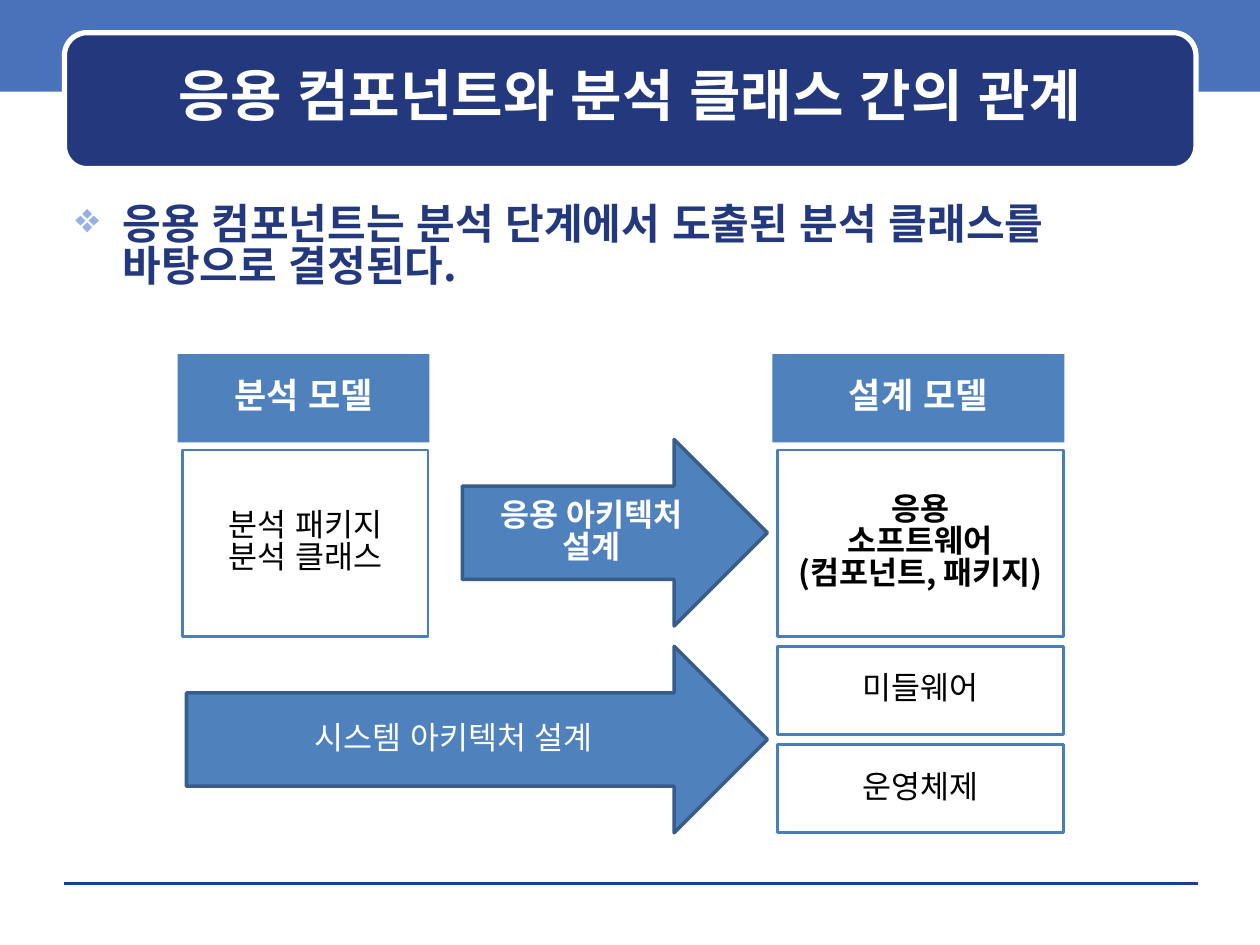
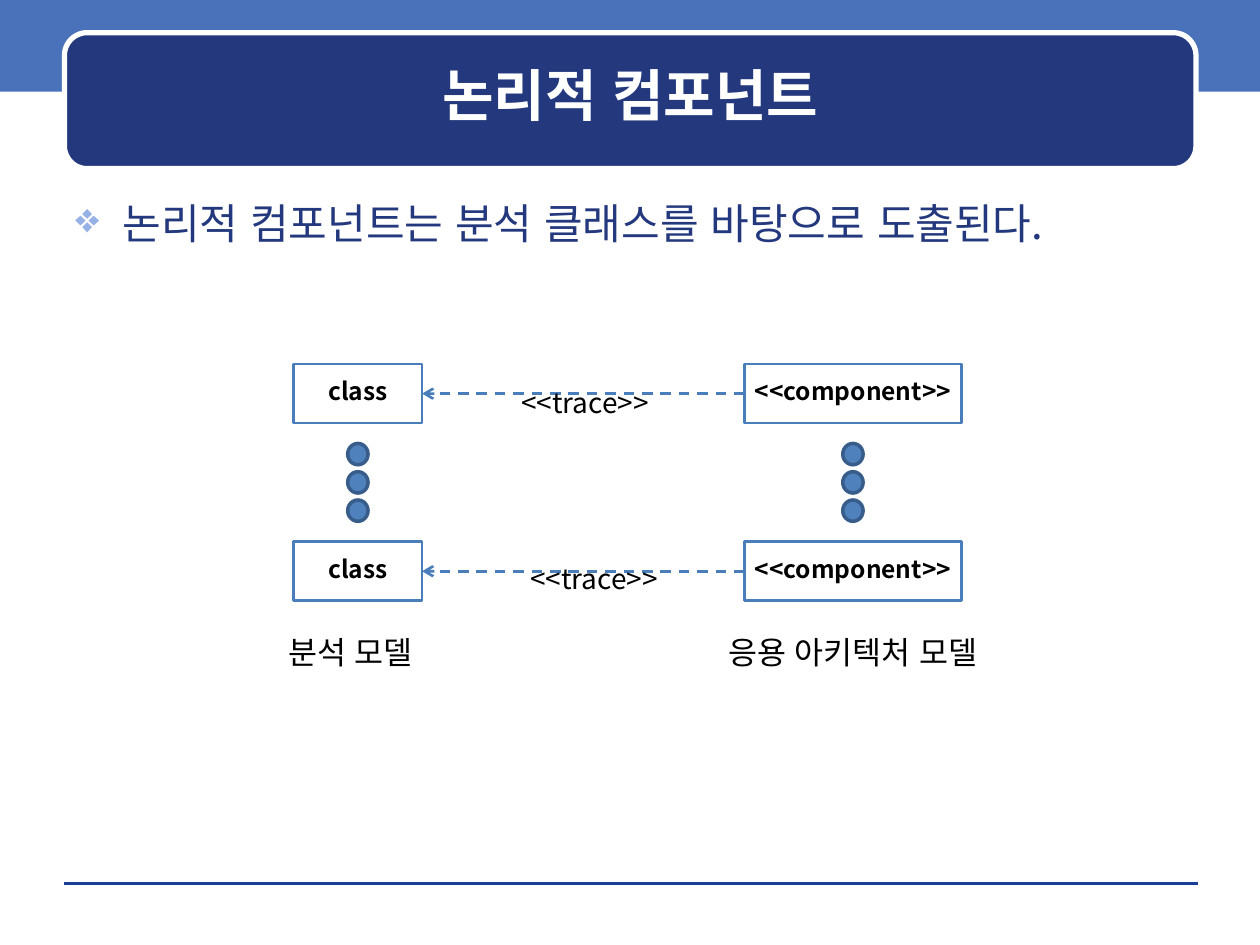
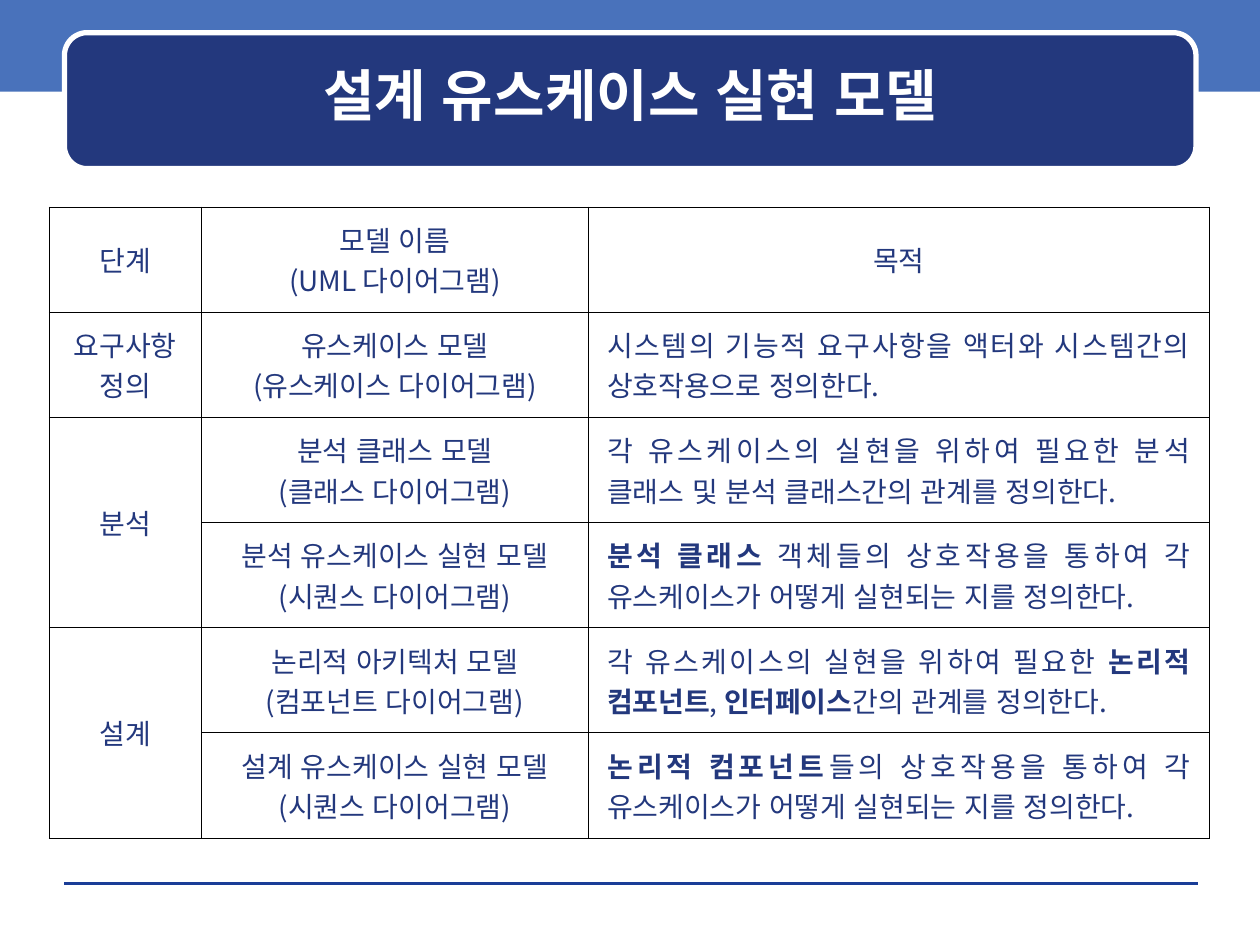
from dataclasses import dataclass

import pptx
import pptx.dml.color
import pptx.enum.dml
import pptx.enum.lang
import pptx.enum.shapes
import pptx.enum.text
import pptx.oxml.ns
import pptx.util
from lxml import etree

Cm, Pt = pptx.util.Cm, pptx.util.Pt
RGB = pptx.dml.color.RGBColor.from_string
MSO = pptx.enum.shapes.MSO_SHAPE
ALIGN = pptx.enum.text.PP_ALIGN
ANCHOR = pptx.enum.text.MSO_ANCHOR
qn = pptx.oxml.ns.qn


# Theme
@dataclass(frozen=True)
class Theme:
    font: str = "Noto Sans CJK KR"
    navy: str = "23387D"
    band: str = "4972BB"
    rule: str = "1A3D97"
    fill: str = "4F81BD"
    edge: str = "385D8A"
    outline: str = "4A7EBB"
    bullet: str = "96B1E6"
    white: str = "FFFFFF"
    black: str = "000000"
    title: int = 32
    body: int = 24
    head: int = 20
    text: int = 18
    small: int = 16
    tiny: int = 14
    spacing: float = 0.84
    tight: float = 0.6


T = Theme()


@dataclass(frozen=True)
class Area:
    """Left, top, width and height in centimetres."""
    x: float
    y: float
    w: float
    h: float

    def emu(self) -> tuple:
        return Cm(self.x), Cm(self.y), Cm(self.w), Cm(self.h)


@dataclass(frozen=True)
class Style:
    size: int = T.text
    color: str = T.black
    bold: bool = False
    align: int = ALIGN.CENTER
    spacing: float = T.spacing
    wrap: bool = True
    inset: float = 0.25


@dataclass(frozen=True)
class Look:
    fill: str | None = None
    line: str | None = None
    width: float = 0


@dataclass(frozen=True)
class Block:
    text: str
    area: Area
    look: Look
    style: Style
    kind: int = MSO.RECTANGLE


OUTLINED = Look(line=T.outline, width=1.5)
FILLED = Look(fill=T.fill)
EDGED = Look(T.fill, T.edge, 2)


# Text and shapes
def format_run(r, size: int, color: str, bold: bool) -> None:
    r.font.size, r.font.bold, r.font.name = Pt(size), bold, T.font
    r.font.color.rgb = RGB(color)
    r.font.language_id = pptx.enum.lang.MSO_LANGUAGE_ID.KOREAN
    latin = r.font._element.find(qn("a:latin"))
    ea = etree.Element(qn("a:ea"), typeface=T.font)
    latin.addnext(ea)


def write(tf, text: str, style: Style) -> None:
    tf.text = text
    for p in tf.paragraphs:
        p.alignment, p.line_spacing = style.align, style.spacing
        for r in p.runs:
            format_run(r, style.size, style.color, style.bold)


def set_frame(tf, style: Style, anchor: int) -> None:
    tf.word_wrap, tf.vertical_anchor = style.wrap, anchor
    tf.margin_left = tf.margin_right = Cm(style.inset)
    tf.margin_top = tf.margin_bottom = Cm(0.13)


def add_shape(shapes, kind: int, area: Area, look: Look):
    sp = shapes.add_shape(kind, *area.emu())
    sp.shadow.inherit = False
    if look.fill:
        sp.fill.solid()
        sp.fill.fore_color.rgb = RGB(look.fill)
    else:
        sp.fill.background()
    if look.line:
        sp.line.color.rgb = RGB(look.line)
        sp.line.width = Pt(look.width)
    else:
        sp.line.fill.background()
    return sp


def add_block(s, block: Block):
    sp = add_shape(s.shapes, block.kind, block.area, block.look)
    set_frame(sp.text_frame, block.style, ANCHOR.MIDDLE)
    write(sp.text_frame, block.text, block.style)
    return sp


def add_label(s, text: str, area: Area, style: Style):
    sp = s.shapes.add_textbox(*area.emu())
    set_frame(sp.text_frame, style, ANCHOR.TOP)
    write(sp.text_frame, text, style)
    return sp


def add_line(s, start: tuple, end: tuple, color: str, width: float):
    cx = s.shapes.add_connector(pptx.enum.shapes.MSO_CONNECTOR.STRAIGHT,
                                *map(Cm, start + end))
    cx.line.color.rgb, cx.line.width = RGB(color), Pt(width)
    etree.SubElement(cx._element.spPr, qn("a:effectLst"))
    return cx


# Shared slide frame
def add_slide(prs, title: str):
    s = prs.slides.add_slide(prs.slide_layouts[5])
    add_shape(s.shapes, MSO.RECTANGLE, Area(0, -0.08, 25.4, 1.93), Look(T.band))
    add_line(s, (1.3, 17.81), (24.16, 17.81), T.rule, 0)
    add_shape(s.shapes, MSO.ROUNDED_RECTANGLE, Area(1.3, 0.66, 22.81, 2.74),
              Look(T.navy, T.white, 3))
    sp = s.shapes.title
    sp.left, sp.top, sp.width, sp.height = Area(1.52, 0.89, 22.38, 2.24).emu()
    style = Style(T.title, T.white, True)
    set_frame(sp.text_frame, style, ANCHOR.MIDDLE)
    write(sp.text_frame, title, style)
    s.shapes.element.append(sp.element)  # in front of the title panel
    return s


def add_bullet(s, text: str, bold: bool) -> None:
    sp = add_label(s, text, Area(1.27, 4.01, 22.86, 13.54),
                   Style(T.body, T.navy, bold, ALIGN.LEFT))
    p = sp.text_frame.paragraphs[0]
    p.space_before = Pt(6)
    pPr = p._p.get_or_add_pPr()
    pPr.set("marL", str(Cm(0.95)))
    pPr.set("indent", str(-Cm(0.95)))
    color = etree.SubElement(pPr, qn("a:buClr"))
    etree.SubElement(color, qn("a:srgbClr"), val=T.bullet)
    etree.SubElement(pPr, qn("a:buChar"), char="❖")


# Slide 1: from analysis model to design model
def build_relation(prs) -> None:
    s = add_slide(prs, "응용 컴포넌트와 분석 클래스 간의 관계")
    add_bullet(s, "응용 컴포넌트는 분석 단계에서 도출된 분석 클래스를 바탕으로 결정된다.", True)
    plain, strong = Style(), Style(bold=True)
    head = Style(T.head, T.white, True)
    row, tall, low = 9.07, 3.76, 1.78
    design_x, design_w, lower = 15.67, 5.77, 13.03
    blocks = [
        Block("응용\n소프트웨어\n(컴포넌트, 패키지)",
              Area(design_x, row, design_w, tall), OUTLINED, strong),
        Block("미들웨어", Area(design_x, lower, design_w, low), OUTLINED, plain),
        Block("운영체제", Area(design_x, lower + 1.98, design_w, low), OUTLINED, plain),
        Block("분석 패키지\n분석 클래스", Area(3.68, row, 4.95, tall), OUTLINED, plain),
        Block("분석 모델", Area(3.58, 7.14, 5.08, low), FILLED, head),
        Block("설계 모델", Area(15.57, 7.14, 5.89, low), FILLED, head),
        Block("시스템 아키텍처 설계", Area(3.76, lower, 11.71, tall), EDGED,
              Style(color=T.white), MSO.RIGHT_ARROW),
        Block("응용 아키텍처\n설계", Area(9.32, 8.86, 6.15, tall), EDGED,
              Style(color=T.white, bold=True), MSO.RIGHT_ARROW),
    ]
    for block in blocks:
        add_block(s, block)


# Slide 2: traces from components to classes
def add_dots(s, x: float) -> None:
    group = s.shapes.add_group_shape()
    for i in range(3):
        add_shape(group.shapes, MSO.OVAL, Area(x, 8.94 + 0.57 * i, 0.41, 0.43), EDGED)


def add_trace(s, component, target) -> None:
    cx = add_line(s, (0, 0), (1, 1), T.outline, 1.5)
    cx.begin_connect(component, 1)
    cx.end_connect(target, 3)
    cx.line.dash_style = pptx.enum.dml.MSO_LINE.DASH
    etree.SubElement(cx.line._get_or_add_ln(), qn("a:tailEnd"), type="arrow")


def build_logical(prs) -> None:
    s = add_slide(prs, "논리적 컴포넌트")
    add_bullet(s, "논리적 컴포넌트는 분석 클래스를 바탕으로 도출된다.", False)
    name = Style(T.tiny, bold=True, wrap=False, inset=0)
    trace = Style(T.small, align=ALIGN.LEFT, wrap=False)
    caption = Style(align=ALIGN.LEFT, spacing=T.tight, wrap=False)
    for y, trace_x, trace_y in ((7.34, 10.26, 7.75), (10.92, 10.44, 11.3)):
        component = add_block(s, Block("<<component>>", Area(15.01, y, 4.37, 1.19),
                                       OUTLINED, name))
        target = add_block(s, Block("class", Area(5.92, y, 2.59, 1.19), OUTLINED, name))
        add_trace(s, component, target)
        add_label(s, "<<trace>>", Area(trace_x, trace_y, 3.12, 0.94), trace)
    for x in (7.01, 16.99):
        add_dots(s, x)
    add_label(s, "분석 모델", Area(5.56, 12.9, 3.3, 0.79), caption)
    add_label(s, "응용 아키텍처 모델", Area(14.43, 12.9, 5.54, 0.79), caption)


# Slide 3: table of models; asterisks enclose bold words
MODELS = [
    ("단계", "모델 이름\n(UML 다이어그램)", "목적"),
    ("요구사항\n정의", "유스케이스 모델\n(유스케이스 다이어그램)",
     "시스템의 기능적 요구사항을 액터와 시스템간의 상호작용으로 정의한다."),
    ("분석", "분석 클래스 모델\n(클래스 다이어그램)",
     "각 유스케이스의 실현을 위하여 필요한 분석 클래스 및 분석 클래스간의 관계를 정의한다."),
    ("", "분석 유스케이스 실현 모델\n(시퀀스 다이어그램)",
     "*분석 클래스* 객체들의 상호작용을 통하여 각 유스케이스가 어떻게 실현되는 지를 정의한다."),
    ("설계", "논리적 아키텍처 모델\n(컴포넌트 다이어그램)",
     "각 유스케이스의 실현을 위하여 필요한 *논리적 컴포넌트*, *인터페이스*간의 관계를 정의한다."),
    ("", "설계 유스케이스 실현 모델\n(시퀀스 다이어그램)",
     "*논리적 컴포넌트*들의 상호작용을 통하여 각 유스케이스가 어떻게 실현되는 지를 정의한다."),
]


def set_borders(cell) -> None:
    tcPr = cell._tc.get_or_add_tcPr()
    for side in ("lnL", "lnR", "lnT", "lnB"):
        ln = etree.SubElement(tcPr, qn(f"a:{side}"), w=str(Pt(0.45)))
        fill = etree.SubElement(ln, qn("a:solidFill"))
        etree.SubElement(fill, qn("a:srgbClr"), val=T.black)


def write_marked(tf, text: str, style: Style) -> None:
    p = tf.paragraphs[0]
    p.alignment, p.line_spacing = style.align, style.spacing
    for i, part in enumerate(text.split("*")):
        if part:
            r = p.add_run()
            r.text = part
            format_run(r, style.size, style.color, i % 2 == 1)


def build_models(prs) -> None:
    s = add_slide(prs, "설계 유스케이스 실현 모델")
    widths, height = (3.07, 7.8, 12.52), 2.12
    area = Area(0.99, 4.17, sum(widths), height * len(MODELS))
    table = s.shapes.add_table(len(MODELS), len(widths), *area.emu()).table
    table.first_row = table.horz_banding = False
    for column, width in zip(table.columns, widths):
        column.width = Cm(width)
    centred = Style(T.small, T.navy, spacing=1.0)
    justified = Style(T.small, T.navy, align=ALIGN.JUSTIFY, spacing=1.0)
    for i, row in enumerate(MODELS):
        table.rows[i].height = Cm(height)
        for j, text in enumerate(row):
            cell = table.cell(i, j)
            set_borders(cell)
            cell.fill.background()
            cell.vertical_anchor = ANCHOR.MIDDLE
            cell.margin_left = cell.margin_right = Cm(0.38)
            cell.margin_top = cell.margin_bottom = Cm(0.13)
            if i and j == 2:
                write_marked(cell.text_frame, text, justified)
            elif text:
                write(cell.text_frame, text, centred)
    for first in (2, 4):
        table.cell(first, 0).merge(table.cell(first + 1, 0))


def main() -> None:
    prs = pptx.Presentation()
    prs.slide_width, prs.slide_height = Cm(25.4), Cm(19.05)
    build_relation(prs)
    build_logical(prs)
    build_models(prs)
    prs.save("out.pptx")


if __name__ == "__main__":
    main()
